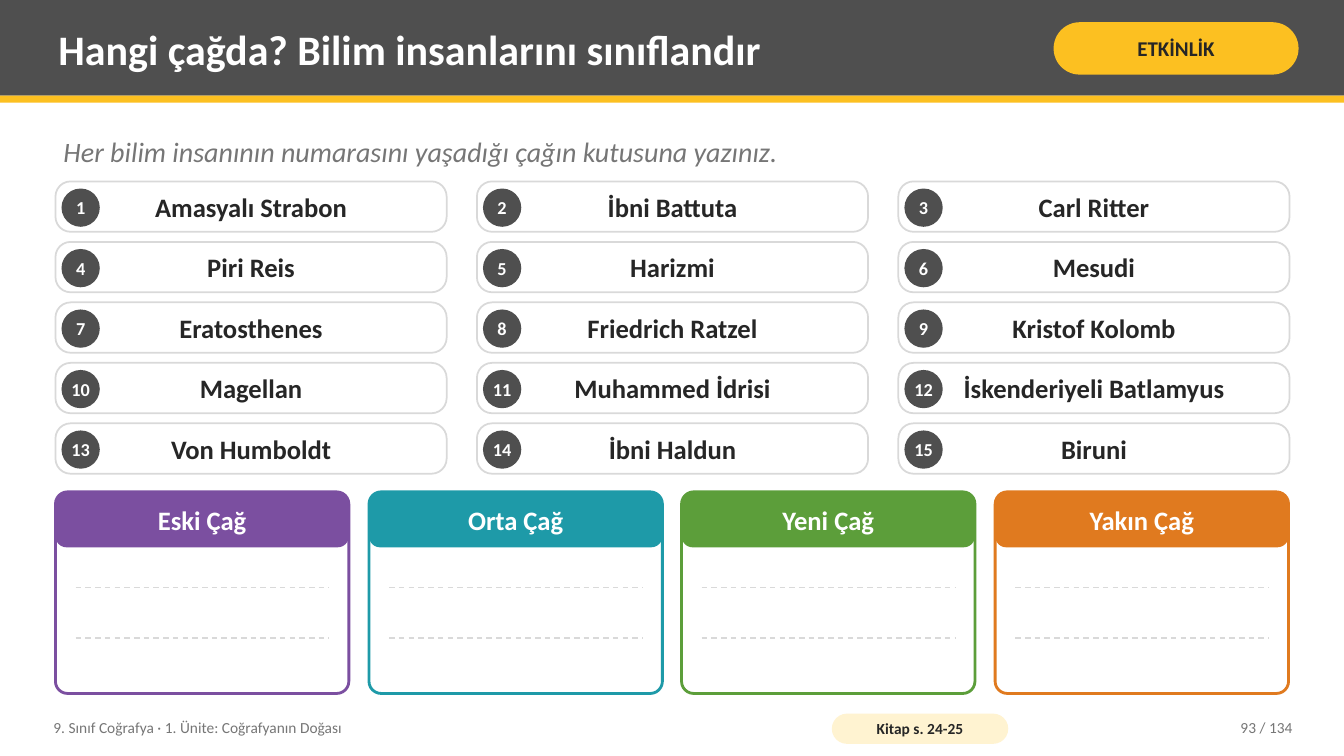
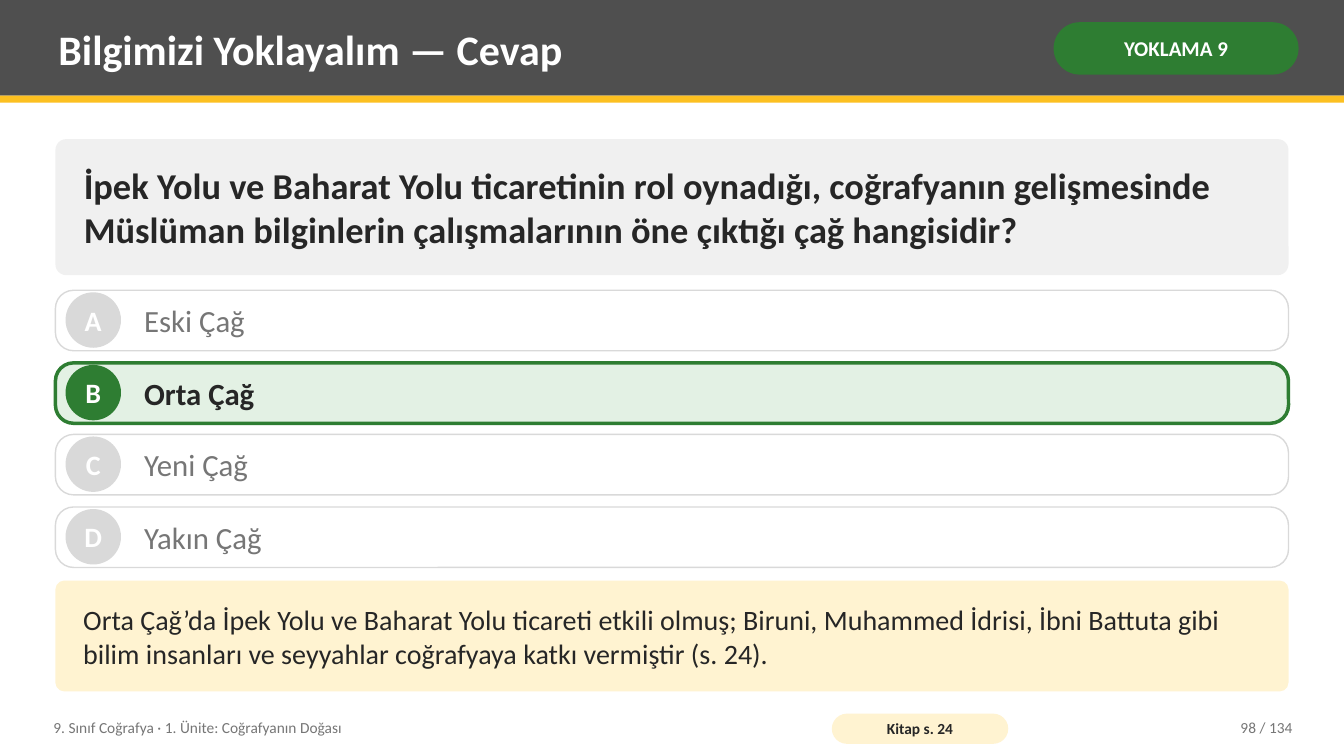
from lxml import etree
from pptx import Presentation
from pptx.dml.color import RGBColor
from pptx.enum.dml import MSO_LINE
from pptx.enum.shapes import MSO_CONNECTOR, MSO_SHAPE
from pptx.enum.text import MSO_ANCHOR, PP_ALIGN
from pptx.oxml.ns import qn
from pptx.util import Emu, Pt

RECTANGLE = MSO_SHAPE.RECTANGLE
ROUNDED = MSO_SHAPE.ROUNDED_RECTANGLE
OVAL = MSO_SHAPE.OVAL
STRAIGHT = MSO_CONNECTOR.STRAIGHT
DASH = MSO_LINE.DASH
MIDDLE = MSO_ANCHOR.MIDDLE
LEFT, CENTER, RIGHT = PP_ALIGN.LEFT, PP_ALIGN.CENTER, PP_ALIGN.RIGHT

WHITE = RGBColor(0xFF, 0xFF, 0xFF)
CHARCOAL = RGBColor(0x4F, 0x4F, 0x4F)
INK = RGBColor(0x26, 0x26, 0x26)
MUTED = RGBColor(0x76, 0x76, 0x76)
BORDER = RGBColor(0xD9, 0xD9, 0xD9)
PALE_GRAY = RGBColor(0xF0, 0xF0, 0xF0)
YELLOW = RGBColor(0xFC, 0xC0, 0x21)
CREAM = RGBColor(0xFF, 0xF3, 0xD1)
GREEN = RGBColor(0x2E, 0x7D, 0x32)
PALE_GREEN = RGBColor(0xE3, 0xF1, 0xE4)
PURPLE = RGBColor(0x7B, 0x4F, 0xA0)
TEAL = RGBColor(0x1E, 0x9A, 0xA8)
LEAF = RGBColor(0x5C, 0x9E, 0x3A)
ORANGE = RGBColor(0xE0, 0x7A, 0x1F)

FONT = "Calibri"
EMU_PER_PX = 9144
WIDTH, HEIGHT = 1333, 750
MARGIN, CONTENT = 55, 1223
UNIT = "9. Sınıf Coğrafya · 1. Ünite: Coğrafyanın Doğası"
PAGE_COUNT = 134

SCIENTISTS = [
    "Amasyalı Strabon", "İbni Battuta", "Carl Ritter",
    "Piri Reis", "Harizmi", "Mesudi",
    "Eratosthenes", "Friedrich Ratzel", "Kristof Kolomb",
    "Magellan", "Muhammed İdrisi", "İskenderiyeli Batlamyus",
    "Von Humboldt", "İbni Haldun", "Biruni",
]
ERAS = {"Eski Çağ": PURPLE, "Orta Çağ": TEAL, "Yeni Çağ": LEAF, "Yakın Çağ": ORANGE}
CORRECT_ERA = "Orta Çağ"


def px(length):
    return Emu(length * EMU_PER_PX)


class Deck:
    def __init__(self):
        self.presentation = Presentation()
        self.presentation.slide_width = px(WIDTH)
        self.presentation.slide_height = px(HEIGHT)
        self.slide = None

    def set_text(self, shape, text, size, color, bold=False, italic=False,
                 align=LEFT, inset=(8, 4), wrap=True):
        frame = shape.text_frame
        frame.text = text
        frame.word_wrap = wrap
        frame.vertical_anchor = MIDDLE
        frame.margin_left = frame.margin_right = px(inset[0])
        frame.margin_top = frame.margin_bottom = px(inset[1])
        paragraph = frame.paragraphs[0]
        paragraph.alignment = align
        font = paragraph.runs[0].font
        font.name = FONT
        font.size = Pt(size)
        font.bold = bold
        font.italic = italic
        font.color.rgb = color

    def shape(self, kind, box, fill, radius=None, border=None, weight=1):
        shape = self.slide.shapes.add_shape(kind, *map(px, box))
        shape.shadow.inherit = False
        shape.fill.solid()
        shape.fill.fore_color.rgb = fill
        if radius is not None:
            shape.adjustments[0] = radius
        if border is None:
            shape.line.fill.background()
        else:
            shape.line.color.rgb = border
            shape.line.width = Pt(weight)
        return shape

    def panel(self, box, fill, radius, border=None, weight=1):
        return self.shape(ROUNDED, box, fill, radius, border, weight)

    def label(self, box, text, size, color, **style):
        self.set_text(self.slide.shapes.add_textbox(*map(px, box)), text, size, color, **style)

    def pill(self, box, text, size, fill, color, inset):
        self.set_text(self.panel(box, fill, 0.5), text, size, color,
                      bold=True, align=CENTER, inset=inset)

    def disc(self, left, top, diameter, text, size, fill):
        disc = self.shape(OVAL, (left, top, diameter, diameter), fill)
        self.set_text(disc, text, size, WHITE, bold=True, align=CENTER,
                      inset=(0, 0), wrap=False)

    def dashed_line(self, left, top, width):
        line = self.slide.shapes.add_connector(
            STRAIGHT, px(left), px(top), px(left + width), px(top))
        line.line.color.rgb = BORDER
        line.line.width = Pt(1)
        line.line.dash_style = DASH
        etree.SubElement(line._element.spPr, qn("a:effectLst"))

    def start_slide(self, title, tag, tag_fill, tag_color, book_pages, number):
        blank = self.presentation.slide_layouts[6]
        self.slide = self.presentation.slides.add_slide(blank)
        self.shape(RECTANGLE, (0, 0, WIDTH, 95), CHARCOAL)
        self.shape(RECTANGLE, (0, 95, WIDTH, 7), YELLOW)
        self.label((50, 7, 975, 82), title, 30, WHITE, bold=True)
        self.pill((1045, 22, 243, 52), tag, 15, tag_fill, tag_color, (5, 2))
        self.label((45, 704, 760, 36), UNIT, 11, MUTED)
        self.pill((825, 708, 175, 30), f"Kitap s. {book_pages}", 11, CREAM, INK, (4, 0))
        self.label((1130, 704, 160, 36), f"{number} / {PAGE_COUNT}", 11, MUTED, align=RIGHT)

    def name_card(self, left, top, number, name):
        card = self.panel((left, top, 388, 50), WHITE, 0.3, BORDER, 1.25)
        self.set_text(card, name, 19, INK, bold=True, align=CENTER, inset=(46, 0))
        self.disc(left + 6, top + 7, 38, str(number), 13, CHARCOAL)

    def era_box(self, left, top, width, era, color):
        self.panel((left, top, width, 200), WHITE, 0.06, color, 2)
        header = self.panel((left, top, width, 55), color, 0.2)
        self.set_text(header, era, 19, WHITE, bold=True, align=CENTER, inset=(14, 8))
        for offset in (95, 145):
            self.dashed_line(left + 20, top + offset, width - 40)

    def option(self, top, letter, text, correct):
        fill, border, weight = (PALE_GREEN, GREEN, 2.5) if correct else (WHITE, BORDER, 1)
        self.panel((MARGIN, top, CONTENT, 60), fill, 0.3, border, weight)
        self.disc(MARGIN + 10, top + 2, 55, letter, 20, border)
        self.label((MARGIN + 80, top, CONTENT - 100, 60), text, 22,
                   INK if correct else MUTED, bold=correct)

    def text_panel(self, top, height, text, size, fill, bold=False):
        panel = self.panel((MARGIN, top, CONTENT, height), fill, 0.08)
        self.set_text(panel, text, size, INK, bold=bold, inset=(25, 8))


def build_activity(deck):
    deck.start_slide("Hangi çağda? Bilim insanlarını sınıflandır",
                     "ETKİNLİK", YELLOW, INK, "24-25", 93)
    deck.label((MARGIN, 128, CONTENT, 45),
               "Her bilim insanının numarasını yaşadığı çağın kutusuna yazınız.",
               20, MUTED, italic=True)
    for index, name in enumerate(SCIENTISTS):
        row, column = divmod(index, 3)
        deck.name_card(MARGIN + 418 * column, 180 + 60 * row, index + 1, name)
    gap = 20
    pitch = (CONTENT + gap) / len(ERAS)
    for index, (era, color) in enumerate(ERAS.items()):
        deck.era_box(round(MARGIN + pitch * index), 488, round(pitch - gap), era, color)


def build_answer(deck):
    deck.start_slide("Bilgimizi Yoklayalım — Cevap", "YOKLAMA 9", GREEN, WHITE, "24", 98)
    deck.text_panel(138, 135,
                    "İpek Yolu ve Baharat Yolu ticaretinin rol oynadığı, coğrafyanın "
                    "gelişmesinde Müslüman bilginlerin çalışmalarının öne çıktığı çağ "
                    "hangisidir?", 26, PALE_GRAY, bold=True)
    first_top, last_top = 288, 503
    pitch = (last_top - first_top) / (len(ERAS) - 1)
    for index, (letter, era) in enumerate(zip("ABCD", ERAS)):
        deck.option(round(first_top + pitch * index), letter, era, era == CORRECT_ERA)
    deck.text_panel(576, 110,
                    "Orta Çağ’da İpek Yolu ve Baharat Yolu ticareti etkili olmuş; Biruni, "
                    "Muhammed İdrisi, İbni Battuta gibi bilim insanları ve seyyahlar "
                    "coğrafyaya katkı vermiştir (s. 24).", 20, CREAM)


def main():
    deck = Deck()
    build_activity(deck)
    build_answer(deck)
    deck.presentation.save("out.pptx")


if __name__ == "__main__":
    main()
